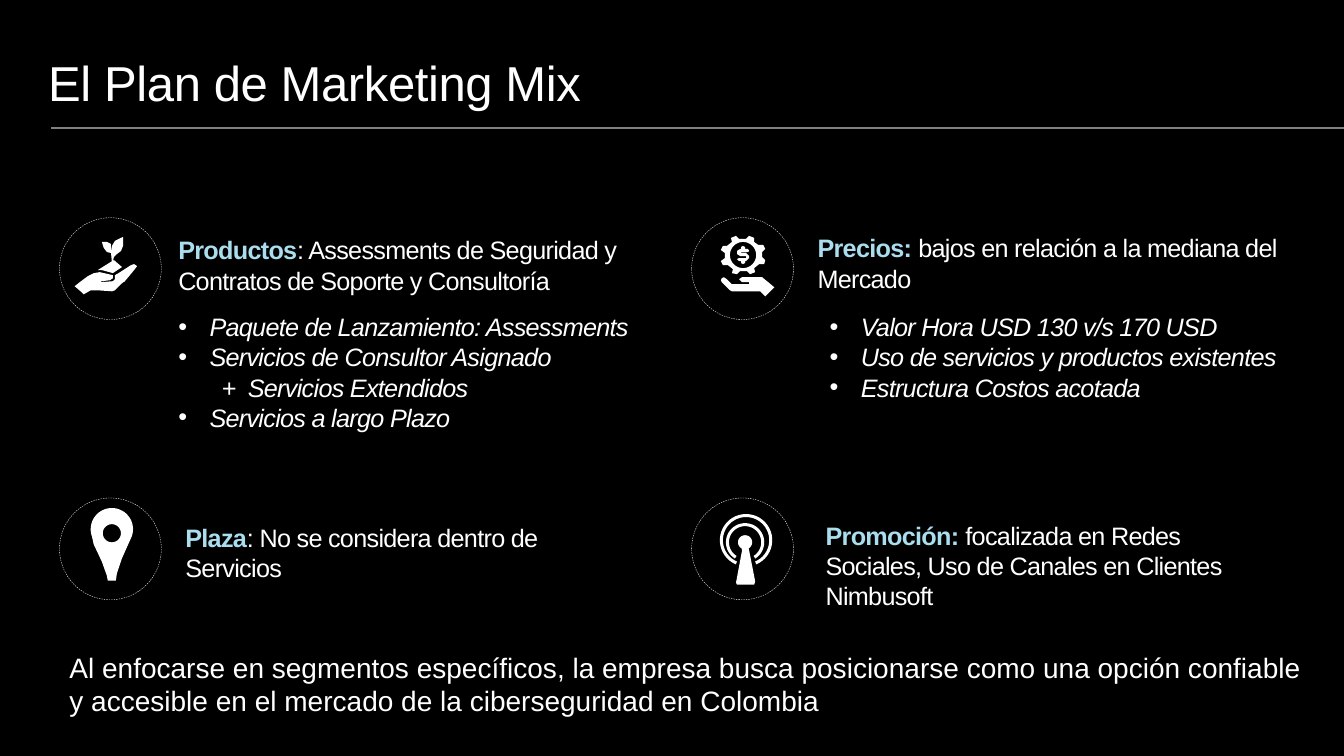
import math

from lxml import etree
from pptx import Presentation
from pptx import util as u
from pptx.dml.color import RGBColor
from pptx.enum import dml, shapes, text
from pptx.oxml.ns import qn

PX = 9144  # EMU per px, 100 px to the inch
SLIDE = (1333, 750)
BLACK = RGBColor(0x00, 0x00, 0x00)
WHITE = RGBColor(0xFF, 0xFF, 0xFF)
SKY = RGBColor(0xAA, 0xDD, 0xEE)
GREY = RGBColor(0x80, 0x80, 0x80)

TITLE = "El Plan de Marketing Mix"
CLOSING = ("Al enfocarse en segmentos específicos, la empresa busca posicionarse como una opción "
           "confiable y accesible en el mercado de la ciberseguridad en Colombia")
TITLE_BOX = (38, 47, 981, 69)
CLOSING_BOX = (59, 640, 1254, 77)
RULE = (51, 127, 1333, 127)

# (box, highlighted words, remaining words)
TOPICS = [
    ((167, 228, 473, 71), "Productos",
     ": Assessments de Seguridad y Contratos de Soporte y Consultoría"),
    ((801, 226, 475, 71), "Precios: ", "bajos en relación a la mediana del Mercado"),
    ((174, 513, 458, 71), "Plaza", ": No se considera dentro de Servicios"),
    ((809, 511, 437, 131), "Promoción: ",
     "focalizada en Redes Sociales, Uso de Canales en Clientes Nimbusoft"),
]

# (left indent, first line offset, bullet)
BULLET = (31, -31, "•")
SUBITEM = (69, -26, None)
DETAILS = [
    ((167, 304, 667, 222), [
        ("Paquete de Lanzamiento: Assessments", BULLET),
        ("Servicios de Consultor Asignado", BULLET),
        ("+\tServicios Extendidos", SUBITEM),
        ("Servicios a largo Plazo", BULLET)]),
    ((813, 304, 667, 222), [
        ("Valor Hora USD 130 v/s 170 USD", BULLET),
        ("Uso de servicios y productos existentes", BULLET),
        ("Estructura Costos acotada", BULLET)]),
]

CIRCLE_SIZE = 101
CIRCLE_COLUMNS = (59, 686)
CIRCLE_ROWS = (216, 494)


def arc(x, y, radius, start=0, end=360):
    """Points along an arc, in degrees clockwise from the top."""
    steps = 40
    angles = [math.radians(start + (end - start) * i / steps) for i in range(steps + 1)]
    return [(x + radius * math.sin(a), y - radius * math.cos(a)) for a in angles]


def open_ring(x, y, outer, inner, reach):
    return arc(x, y, outer, -reach, reach) + arc(x, y, inner, reach, -reach)


# Each icon is a list of outlines; each outline is a list of closed contours.
SEEDLING_HAND = [
    [[(122, 279), (122, 280), (114, 288), (111, 289), (97, 288), (90, 288), (83, 292), (80, 289),
      (88, 281), (97, 271), (99, 270), (112, 273), (112, 276), (109, 278), (101, 279), (99, 280),
      (112, 279), (114, 277), (114, 273), (116, 272), (120, 277)]],
    [[(122, 280), (120, 278), (115, 273), (116, 272), (130, 263), (133, 262), (136, 264),
      (133, 268), (123, 280)]],
    [[(99, 271), (94, 275), (89, 281), (84, 286), (81, 289), (80, 289), (74, 284), (79, 280),
      (87, 274), (93, 271), (99, 270)]],
    [[(121, 265), (112, 271), (101, 268), (97, 268), (113, 258)]],
    [[(112, 259), (111, 260), (110, 250), (111, 244), (114, 239), (118, 237), (122, 235),
      (122, 244), (120, 249), (116, 252), (113, 255)]],
    [[(101, 240), (106, 240), (110, 242), (110, 251), (106, 250), (103, 246)]],
]
MONEY_HAND = [
    [[(756, 275), (736, 275), (733, 277), (736, 280), (743, 280), (743, 282), (726, 282),
      (721, 277), (718, 275), (716, 276), (715, 278), (716, 280), (724, 288), (726, 289),
      (754, 289), (759, 294), (768, 285)]],
    [[(758, 262), (759, 258), (756, 255), (756, 250), (759, 247), (757, 243), (752, 243),
      (748, 240), (748, 236), (743, 234), (740, 237), (733, 237), (730, 234), (725, 236),
      (726, 240), (721, 244), (717, 244), (715, 248), (719, 251), (719, 256), (715, 259),
      (717, 263), (722, 263), (727, 267), (726, 271), (731, 272), (734, 269), (741, 269),
      (744, 272), (749, 270), (748, 266), (753, 262)],
     arc(737, 253, 13)],
    [[(740, 251), (735, 251), (735, 250), (742, 250), (743, 249), (742, 247), (739, 247),
      (739, 245), (737, 244), (735, 245), (735, 247), (734, 247), (731, 249), (731, 252),
      (734, 254), (740, 254), (740, 256), (733, 256), (731, 257), (733, 259), (735, 259),
      (735, 261), (737, 262), (739, 261), (739, 259), (740, 259), (743, 256), (743, 254)]],
]
MAP_PIN = [
    [arc(111, 525, 21, -110, 110)
     + [(121, 554), (116, 569), (115, 576), (107, 576), (106, 571), (101, 557), (93, 540)],
     arc(111, 529, 9)],
]
ANTENNA = [
    [arc(739, 538, 7, -150, 150)
     + [(743, 546), (749, 577), (748, 580), (731, 580), (730, 578), (736, 546)]],
    [open_ring(740, 536, 26, 23, 157)],
    [open_ring(739, 538, 19, 16, 148)],
]
ICONS = [SEEDLING_HAND, MONEY_HAND, MAP_PIN, ANTENNA]


def emu(lengths):
    return [u.Emu(round(length * PX)) for length in lengths]


def add_text_box(slide, box):
    frame = slide.shapes.add_textbox(*emu(box)).text_frame
    frame.word_wrap = True
    frame.auto_size = text.MSO_AUTO_SIZE.SHAPE_TO_FIT_TEXT
    return frame


def add_run(paragraph, words, size=18, color=WHITE, spacing=-50, **formats):
    run = paragraph.add_run()
    run.text = words
    for name, value in {"name": "Arial", "size": u.Pt(size), **formats}.items():
        setattr(run.font, name, value)
    run.font.color.rgb = color
    if spacing:
        run._r.get_or_add_rPr().set("spc", str(spacing))


def set_indent(paragraph, left, first_line, bullet):
    properties = paragraph._p.get_or_add_pPr()
    properties.set("marL", str(left * PX))
    properties.set("indent", str(first_line * PX))
    if bullet:
        etree.SubElement(properties, qn("a:buFont")).set("typeface", "Arial")
        etree.SubElement(properties, qn("a:buChar")).set("char", bullet)


def add_icon(slide, outlines):
    parent = slide.shapes if len(outlines) == 1 else slide.shapes.add_group_shape().shapes
    for contours in outlines:
        builder = None
        for contour in contours:
            start, *others = [emu(point) for point in contour]
            if builder is None:
                builder = parent.build_freeform(*start)
            else:
                builder.move_to(*start)
            builder.add_line_segments(others, close=True)
        shape = builder.convert_to_shape()
        shape.shadow.inherit = False
        shape.fill.solid()
        shape.fill.fore_color.rgb = WHITE
        shape.line.fill.background()


def add_circle(slide, left, top):
    circle = slide.shapes.add_shape(
        shapes.MSO_SHAPE.OVAL, *emu((left, top, CIRCLE_SIZE, CIRCLE_SIZE)))
    circle.shadow.inherit = False
    circle.fill.background()
    circle.line.color.rgb = WHITE
    circle.line.width = u.Pt(0.25)
    circle.line.dash_style = dml.MSO_LINE.DASH


def main():
    presentation = Presentation()
    presentation.slide_width, presentation.slide_height = emu(SLIDE)
    slide = presentation.slides.add_slide(presentation.slide_layouts[6])
    slide.background.fill.solid()
    slide.background.fill.fore_color.rgb = BLACK

    rule = slide.shapes.add_connector(shapes.MSO_CONNECTOR.STRAIGHT, *emu(RULE))
    rule.line.color.rgb = GREY
    rule.line.width = u.Pt(1)
    etree.SubElement(rule._element.spPr, qn("a:effectLst"))

    add_run(add_text_box(slide, TITLE_BOX).paragraphs[0], TITLE, size=35, spacing=-30)
    for top in CIRCLE_ROWS:
        for left in CIRCLE_COLUMNS:
            add_circle(slide, left, top)
    for box, heading, description in TOPICS:
        paragraph = add_text_box(slide, box).paragraphs[0]
        add_run(paragraph, heading, color=SKY, bold=True)
        add_run(paragraph, description)
    for box, items in DETAILS:
        frame = add_text_box(slide, box)
        for i, (words, indent) in enumerate(items):
            paragraph = frame.add_paragraph() if i else frame.paragraphs[0]
            set_indent(paragraph, *indent)
            add_run(paragraph, words, italic=True)
    add_run(add_text_box(slide, CLOSING_BOX).paragraphs[0], CLOSING, size=20, spacing=0)
    for outlines in ICONS:
        add_icon(slide, outlines)
    presentation.save("out.pptx")


if __name__ == "__main__":
    main()
